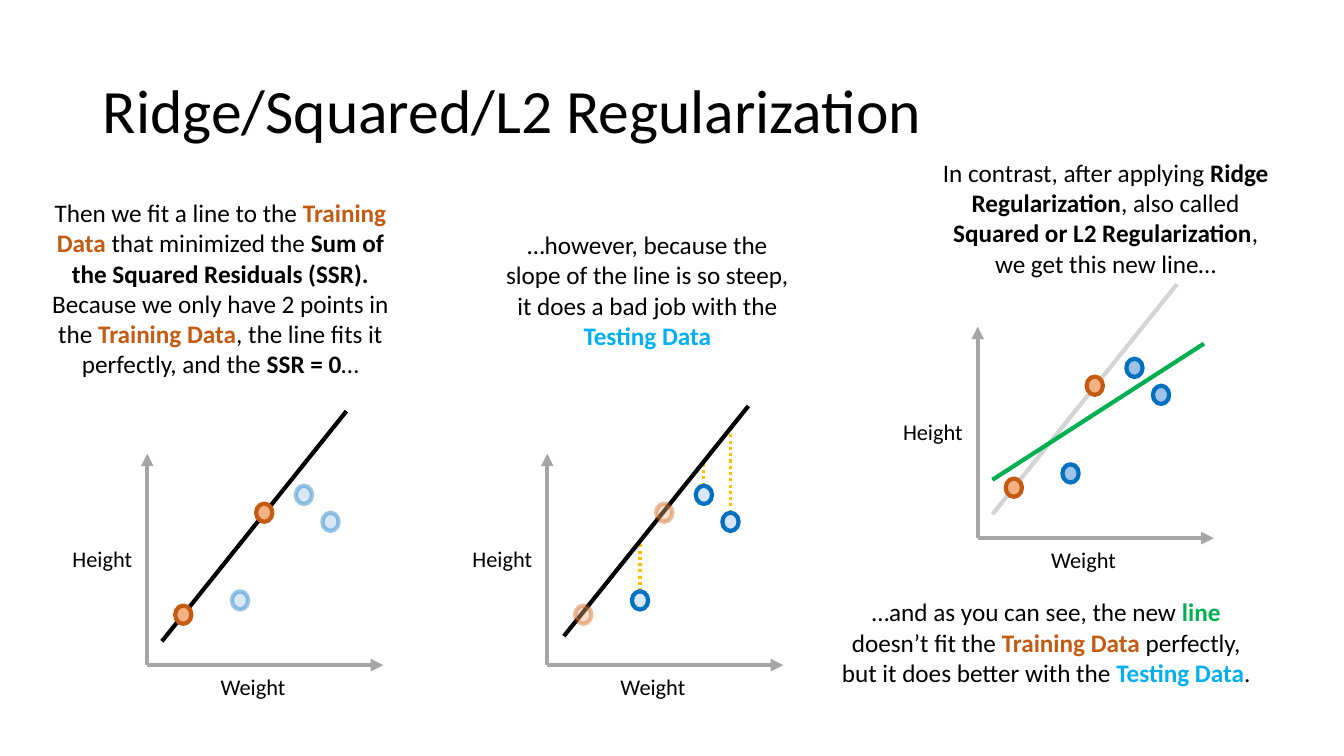
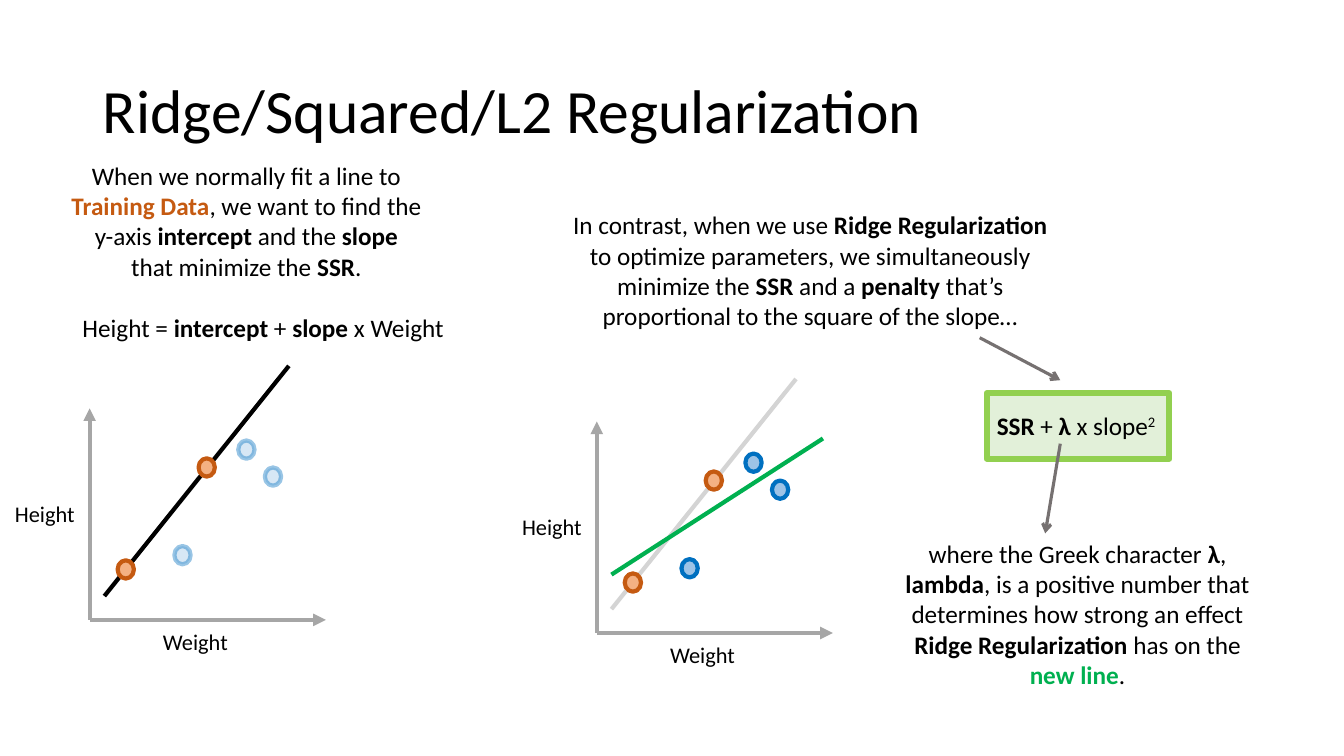
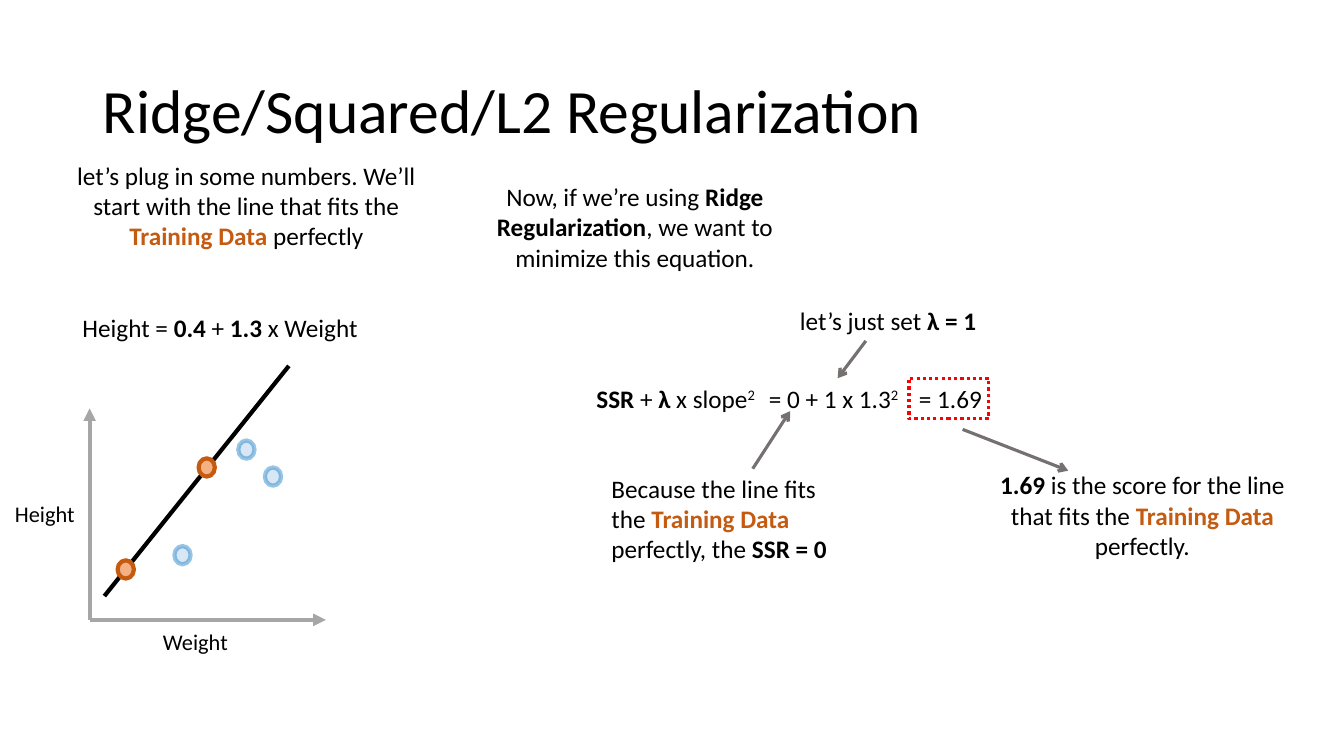
from dataclasses import dataclass, field

from lxml.etree import SubElement
from pptx import Presentation
from pptx.dml.color import RGBColor as RGB
from pptx.enum.dml import MSO_LINE as Dash
from pptx.enum.shapes import MSO_CONNECTOR as Link, MSO_SHAPE as Shape
from pptx.enum.text import MSO_ANCHOR as Anchor, PP_ALIGN as Align
from pptx.oxml.ns import qn
from pptx.util import Cm, Pt


@dataclass(frozen=True)
class Theme:
    font: str = "Calibri"
    head: int = 44
    body: int = 18
    label: int = 16
    thick: float = 3
    thin: float = 2.25
    ink: RGB = RGB(0, 0, 0)
    axis: RGB = RGB(0xA6, 0xA6, 0xA6)
    arrow: RGB = RGB(0x76, 0x71, 0x71)
    gold: RGB = RGB(0xFF, 0xC0, 0x00)
    green: RGB = RGB(0x00, 0xB0, 0x50)
    lime: RGB = RGB(0x92, 0xD0, 0x50)
    mint: RGB = RGB(0xE2, 0xF0, 0xD9)
    red: RGB = RGB(0xFF, 0x00, 0x00)
    train: tuple = (RGB(0xF4, 0xB1, 0x83), RGB(0xC5, 0x5A, 0x11))
    test: tuple = (RGB(0x9D, 0xC3, 0xE6), RGB(0x00, 0x70, 0xC0))
    # Bold key terms that carry a colour of their own
    tint: dict = field(default_factory=lambda: {
        "Training Data": RGB(0xC5, 0x5A, 0x11),
        "Testing Data": RGB(0x00, 0xB0, 0xF0),
        "line": RGB(0x00, 0xB0, 0x50),
        "new line": RGB(0x00, 0xB0, 0x50),
    })


look = Theme()


def write(slide, text, at, size=look.body, align=Align.CENTER,
          anchor=Anchor.TOP, space=1.0):
    """Add a text box; *stars* mark bold terms, ^carets^ mark superscript."""
    frame = slide.shapes.add_textbox(*map(Cm, at)).text_frame
    frame.word_wrap = True
    frame.vertical_anchor = anchor
    para = frame.paragraphs[0]
    para.alignment = align
    para.line_spacing = space
    for i, part in enumerate(text.split("*")):
        for j, bit in enumerate(part.split("^")):
            if not bit:
                continue
            run = para.add_run()
            run.text = bit
            font = run.font
            font.name, font.size, font.bold = look.font, Pt(size), i % 2 == 1
            font.color.rgb = look.tint.get(bit, look.ink) if font.bold else look.ink
            if j % 2:
                font._element.set("baseline", "30000")


def draw(slide, start, end, color, width=look.thick, dash=None, tip=None, alpha=100):
    """Add a straight line; tip names the arrowhead at its end."""
    link = slide.shapes.add_connector(Link.STRAIGHT, *map(Cm, (*start, *end)))
    link.line.color.rgb = color
    link.line.width = Pt(width)
    if dash:
        link.line.dash_style = dash
    props = link._element.spPr
    if alpha < 100:
        SubElement(next(props.iter(qn("a:srgbClr"))), qn("a:alpha"), val=str(alpha * 1000))
    if tip:
        SubElement(props.find(qn("a:ln")), qn("a:tailEnd"), type=tip)
    SubElement(props, qn("a:effectLst"))


# Plot geometry, measured from the point where the axes cross
right, up = 5.95, 5.33
dot_w, dot_h = 0.41, 0.46
train_at = [(0.91, -1.27), (2.95, -3.84)]
test_at = [(2.34, -1.63), (3.95, -4.29), (4.62, -3.61)]
fit = [(0.37, -0.6), (5.02, -6.4)]
ridge = [(0.37, -1.47), (5.7, -4.9)]
slope = (fit[1][1] - fit[0][1]) / (fit[1][0] - fit[0][0])

# Opacity per kind of plot: (fill, outline) of the dots, then the fitted line
kinds = {
    "train": dict(train=(100, 100), test=(40, 40), fit=100, shift=(0, 0)),
    "test": dict(train=(40, 40), test=(40, 100), fit=100, shift=(0.05, -0.13)),
    "ridge": dict(train=(100, 100), test=(100, 100), fit=17, shift=(0, 0)),
}

left = dict(align=Align.LEFT)
pages = [
    dict(
        plots=[("train", 3.71, 16.76), ("test", 13.79, 16.76), ("ridge", 24.64, 13.56)],
        notes=[
            ("Then we fit a line to the *Training Data* that minimized the "
             "*Sum of the Squared Residuals (SSR). *Because we only have 2 points in "
             "the *Training Data*, the line fits it perfectly, and the *SSR = 0*…",
             (0.97, 4.85, 9.17, 4.88), {}),
            ("…however, because the slope of the line is so steep, it does a bad job "
             "with the *Testing Data*", (12.29, 5.66, 8.05, 3.33), {}),
            ("In contrast, after applying *Ridge Regularization*, also called "
             "*Squared or L2 Regularization*, we get this new line…",
             (23.42, 3.84, 8.89, 3.33), {}),
            ("…and as you can see, the new *line* doesn’t fit the *Training Data* "
             "perfectly, but it does better with the *Testing Data*.",
             (20.88, 14.91, 10.97, 2.57), {}),
        ],
        boxes=[],
        arrows=[],
    ),
    dict(
        plots=[("train", 2.26, 15.62), ("ridge", 15.04, 15.95)],
        notes=[
            ("When we normally fit a line to *Training Data*, we want to find the "
             "y-axis *intercept* and the *slope* that minimize the *SSR*.",
             (1.55, 3.91, 9.32, 3.33), {}),
            ("Height = *intercept* + *slope* x Weight", (1.83, 7.75, 9.73, 1.02), left),
            ("In contrast, when we use *Ridge Regularization* to optimize parameters, "
             "we simultaneously minimize the *SSR* and a *penalty* that’s proportional "
             "to the square of the slope…", (14.12, 5.16, 12.6, 3.33), {}),
            ("*SSR* + *λ* x slope^2^", (24.87, 10.21, 4.98, 1.02), left),
            ("where the Greek character *λ*, *lambda*, is a positive number that "
             "determines how strong an effect *Ridge Regularization* has on the "
             "*new line*.", (22.2, 13.44, 9.91, 4.11), {}),
        ],
        boxes=[((24.87, 9.91, 4.6, 1.65), look.mint, look.lime, 4.5, None)],
        arrows=[((24.69, 8.51), (26.72, 9.58)), ((26.72, 11.18), (26.34, 13.44))],
    ),
    dict(
        plots=[("train", 2.26, 15.62)],
        notes=[
            ("let’s plug in some numbers. We’ll start with the line that fits the "
             "*Training Data* perfectly", (1.55, 3.91, 9.32, 2.57), {}),
            ("Height = *0.4* + *1.3* x Weight", (1.83, 7.75, 9.73, 1.02), left),
            ("Now, if we’re using *Ridge Regularization*, we want to minimize this "
             "equation.", (12.09, 4.45, 7.82, 2.57), {}),
            ("*SSR* + *λ* x slope^2^", (14.78, 9.53, 4.65, 1.02), left),
            ("= 0 + 1 x 1.3^2^", (19.13, 9.53, 4.29, 1.02), left),
            ("= 1.69", (22.91, 9.53, 2.11, 1.02), left),
            ("Because the line fits the *Training Data* perfectly, the *SSR = 0*",
             (15.16, 11.79, 6.25, 2.57), left),
            ("let’s just set *λ = 1*", (19.91, 7.57, 5.54, 1.02), left),
            ("*1.69* is the score for the line that fits the *Training Data* perfectly.",
             (24.66, 11.71, 8.26, 2.57), {}),
        ],
        boxes=[((22.91, 9.53, 2.01, 1.02), None, look.red, look.thin, Dash.ROUND_DOT)],
        arrows=[((18.97, 11.81), (19.91, 10.36)), ((21.82, 8.59), (21.11, 9.53)),
                ((24.26, 10.82), (26.92, 11.86))],
    ),
]

deck = Presentation()
deck.slide_width, deck.slide_height = Cm(33.87), Cm(19.05)

for page in pages:
    slide = deck.slides.add_slide(deck.slide_layouts[6])
    write(slide, "Ridge/Squared/L2 Regularization", (2.34, 1.02, 22.53, 3.68),
          size=look.head, align=Align.LEFT, anchor=Anchor.MIDDLE, space=0.9)

    for at, fill, edge, width, dash in page["boxes"]:
        box = slide.shapes.add_shape(Shape.RECTANGLE, *map(Cm, at))
        box.shadow.inherit = False
        if fill:
            box.fill.solid()
            box.fill.fore_color.rgb = fill
        else:
            box.fill.background()
        box.line.color.rgb = edge
        box.line.width = Pt(width)
        if dash:
            box.line.dash_style = dash

    for kind, x, y in page["plots"]:
        mode = kinds[kind]
        dx, dy = mode["shift"]
        path = [(x + dx + a, y + dy + b) for a, b in fit]
        if kind == "test":
            for a, b in test_at:
                top = path[0][1] + slope * (x + a - path[0][0])
                draw(slide, (x + a, y + b - dot_h / 2), (x + a, top), look.gold,
                     width=look.thin, dash=Dash.ROUND_DOT)
        for end in ((x, y - up), (x + right, y)):
            draw(slide, (x, y), end, look.axis, tip="triangle")
        write(slide, "Height", (x - 2.26, y - 3.15, 2.26, 0.97), size=look.label)
        write(slide, "Weight", (x + 1.37, y + 0.08, 2.59, 0.94), size=look.label)

        # The fitted line lies over the test dots and under the training dots
        for group, spots, (fill, edge) in (("test", test_at, look.test),
                                           ("train", train_at, look.train)):
            if group == "train":
                draw(slide, *path, look.ink, alpha=mode["fit"])
            for a, b in spots:
                dot = slide.shapes.add_shape(
                    Shape.OVAL, Cm(x + a - dot_w / 2), Cm(y + b - dot_h / 2),
                    Cm(dot_w), Cm(dot_h))
                dot.shadow.inherit = False
                dot.fill.solid()
                dot.fill.fore_color.rgb = fill
                dot.line.color.rgb = edge
                dot.line.width = Pt(look.thick)
                tones = list(dot._element.spPr.iter(qn("a:srgbClr")))
                for tone, alpha in zip(tones, mode[group]):
                    if alpha < 100:
                        SubElement(tone, qn("a:alpha"), val=str(alpha * 1000))
        if kind == "ridge":
            draw(slide, *[(x + a, y + b) for a, b in ridge], look.green)

    for text, at, form in page["notes"]:
        write(slide, text, at, **form)
    for start, end in page["arrows"]:
        draw(slide, start, end, look.arrow, width=look.thin, tip="arrow")

deck.save("out.pptx")
